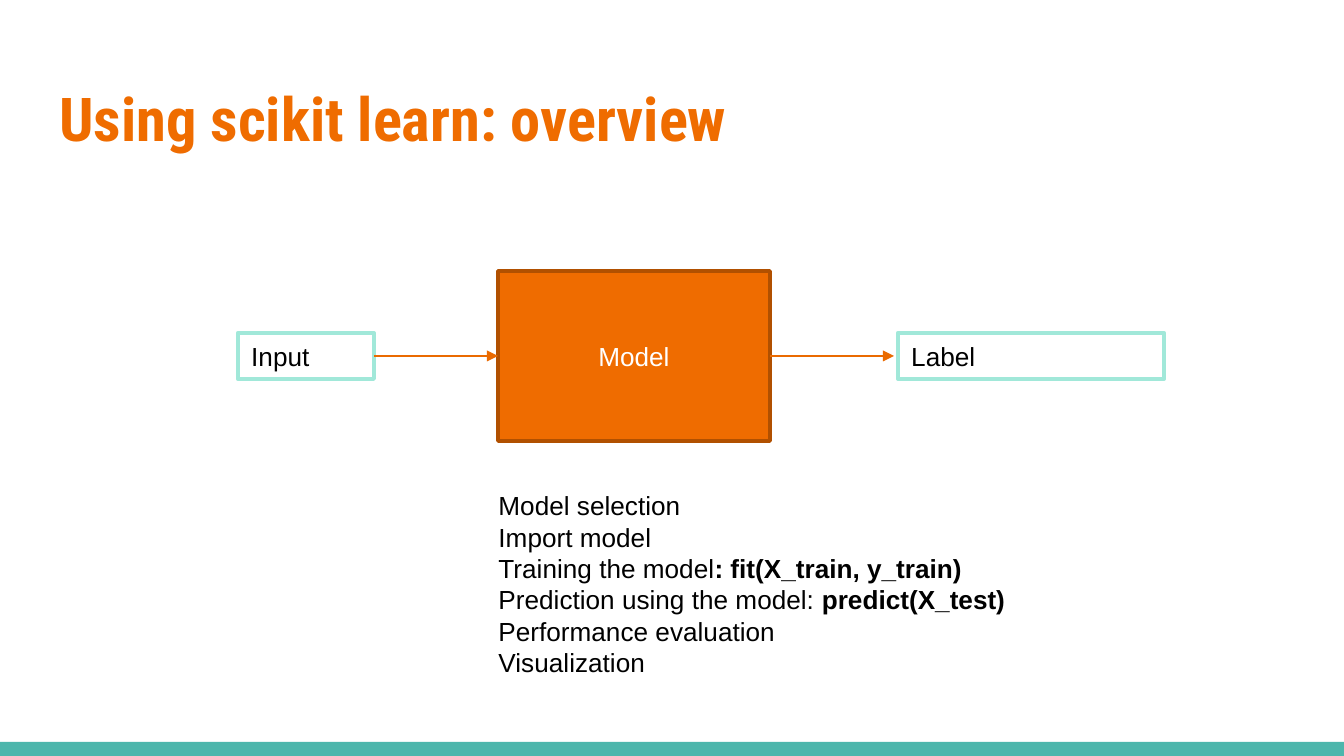
from lxml.etree import SubElement
from pptx import Presentation
from pptx.dml.color import RGBColor as RGB
from pptx.enum.shapes import MSO_CONNECTOR as Link, MSO_SHAPE as Shape
from pptx.enum.text import MSO_ANCHOR as Anchor, MSO_AUTO_SIZE as Fit, PP_ALIGN as Align
from pptx.oxml.ns import qn
from pptx.util import Pt

# Content: each step is (plain part, bold part)
TITLE = "Using scikit learn: overview"
STEPS = [
    ("Model selection", ""),
    ("Import model", ""),
    ("Training the model", ": fit(X_train, y_train)"),
    ("Prediction using the model: ", "predict(X_test)"),
    ("Performance evaluation", ""),
    ("Visualization", ""),
]
# Boxes in px: text, left, width, height, style
BOXES = [
    ("Model", 498, 272, 170, "model"),
    ("Input", 238, 136, 46, "data"),
    ("Label", 898, 266, 46, "data"),
]
MID = 356  # shared centre line of the flow, px
GAP = 4    # space between the last arrow and its box, px

THEME = {
    "head": ("Roboto Condensed", 32.4, "EF6C00"),
    "text": ("Arial", 14, "000000"),
    "light": ("Arial", 14, "FFFFFF"),
    "bar": "4DB6AC",
    "arrow": ("EA6A00", 0.75),
    # fill, line, line width, font, alignment
    "model": ("EF6C00", "B15000", 2, "light", Align.CENTER),
    "data": (None, "A1E8D9", 2.25, "text", Align.LEFT),
}


def px(n):
    return round(n * 914400 / 134.4)


def place(shape, x, y, w, h):
    shape.left, shape.top, shape.width, shape.height = map(px, (x, y, w, h))


def style(para, key, align=Align.LEFT):
    name, size, color = THEME[key]
    para.alignment = align
    para.font.name, para.font.size = name, Pt(size)
    para.font.color.rgb = RGB.from_string(color)


def rect(x, y, w, h, fill=None, line=None, width=0):
    shape = slide.shapes.add_shape(Shape.RECTANGLE, *map(px, (x, y, w, h)))
    shape.shadow.inherit = False
    for part, color in ((shape.fill, fill), (shape.line.fill, line)):
        if color:
            part.solid()
            part.fore_color.rgb = RGB.from_string(color)
        else:
            part.background()
    if line:
        shape.line.width = Pt(width)
    return shape


def box(text, x, w, h, key):
    fill, line, width, font, align = THEME[key]
    shape = rect(x, MID - h / 2, w, h, fill, line, width)
    frame = shape.text_frame
    frame.word_wrap, frame.vertical_anchor = True, Anchor.MIDDLE
    frame.text = text
    style(frame.paragraphs[0], font, align)
    return shape


def arrow(start, end, gap=0):
    x1, x2 = start.left + start.width, end.left - px(gap)
    line = slide.shapes.add_connector(Link.STRAIGHT, x1, px(MID), x2, px(MID))
    line.begin_connect(start, 3)
    if not gap:
        line.end_connect(end, 1)
    color, width = THEME["arrow"]
    line.line.color.rgb = RGB.from_string(color)
    line.line.width = Pt(width)
    SubElement(line.line._get_or_add_ln(), qn("a:tailEnd"), type="triangle")
    SubElement(line._element.spPr, qn("a:effectLst"))


deck = Presentation()
deck.slide_width, deck.slide_height = px(1344), px(756)
slide = deck.slides.add_slide(deck.slide_layouts[1])

# Title
title = slide.shapes.title
place(title, 46, 66, 1252, 103)
title.text_frame.text = TITLE
title.text_frame.auto_size = Fit.NONE
head = title.text_frame.paragraphs[0]
style(head, "head")
head.font.bold = True

# List of steps, without bullets
body = slide.placeholders[1]
place(body, 485, 483, 539, 214)
frame = body.text_frame
frame.auto_size = Fit.NONE
for i, (plain, bold) in enumerate(STEPS):
    para = frame.add_paragraph() if i else frame.paragraphs[0]
    style(para, "text")
    para.space_before = Pt(0)
    props = para._p.get_or_add_pPr()
    props.set("marL", "0")
    props.set("indent", "0")
    props.insert_element_before(props.makeelement(qn("a:buNone")), "a:defRPr")
    para.add_run().text = plain
    if bold:
        run = para.add_run()
        run.text, run.font.bold = bold, True

# Flow: input, model, label
model, source, label = [box(*item) for item in BOXES]
arrow(source, model)
arrow(model, label, GAP)

# Footer bar
rect(0, 742, 1344, 14, THEME["bar"])

deck.save("out.pptx")
